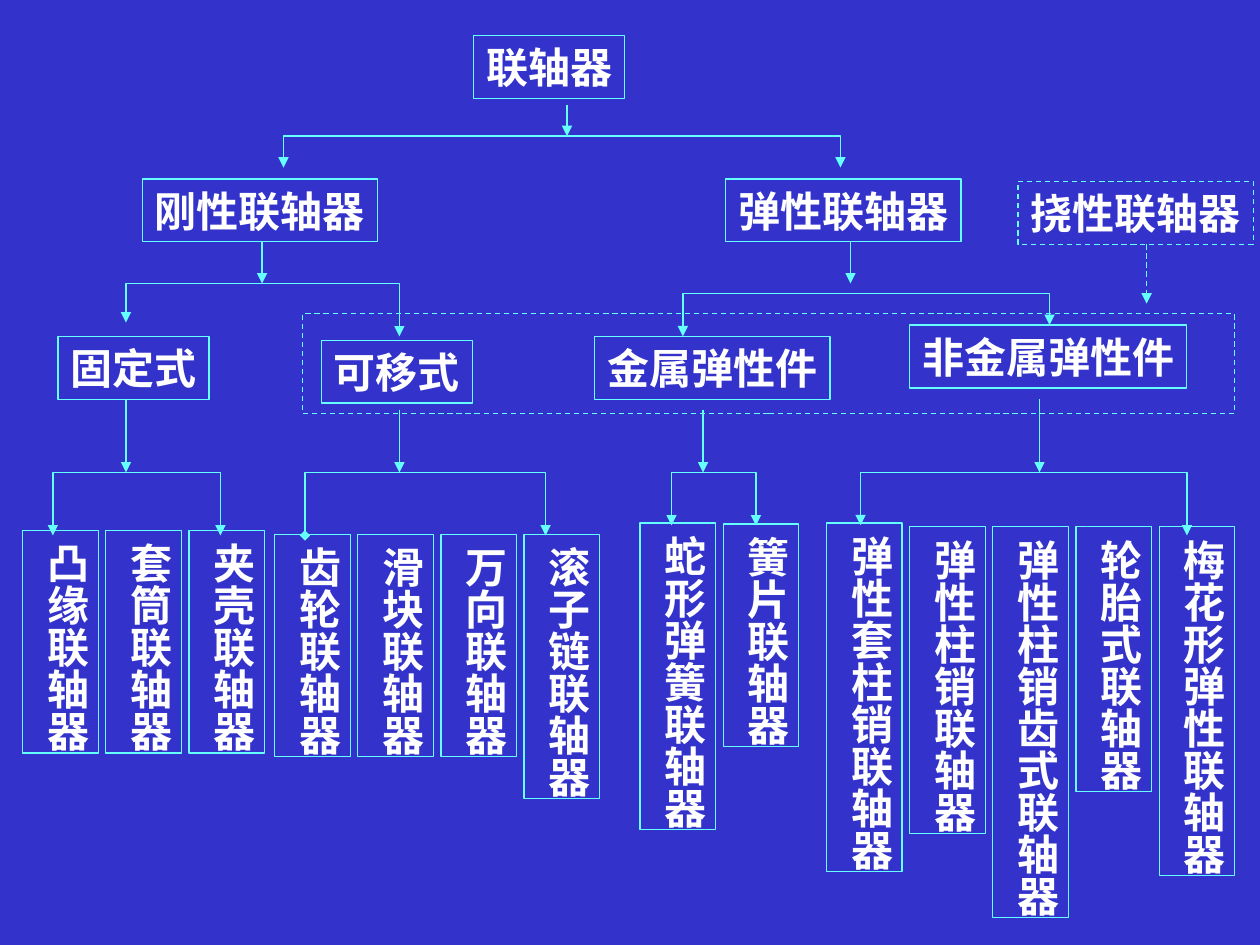
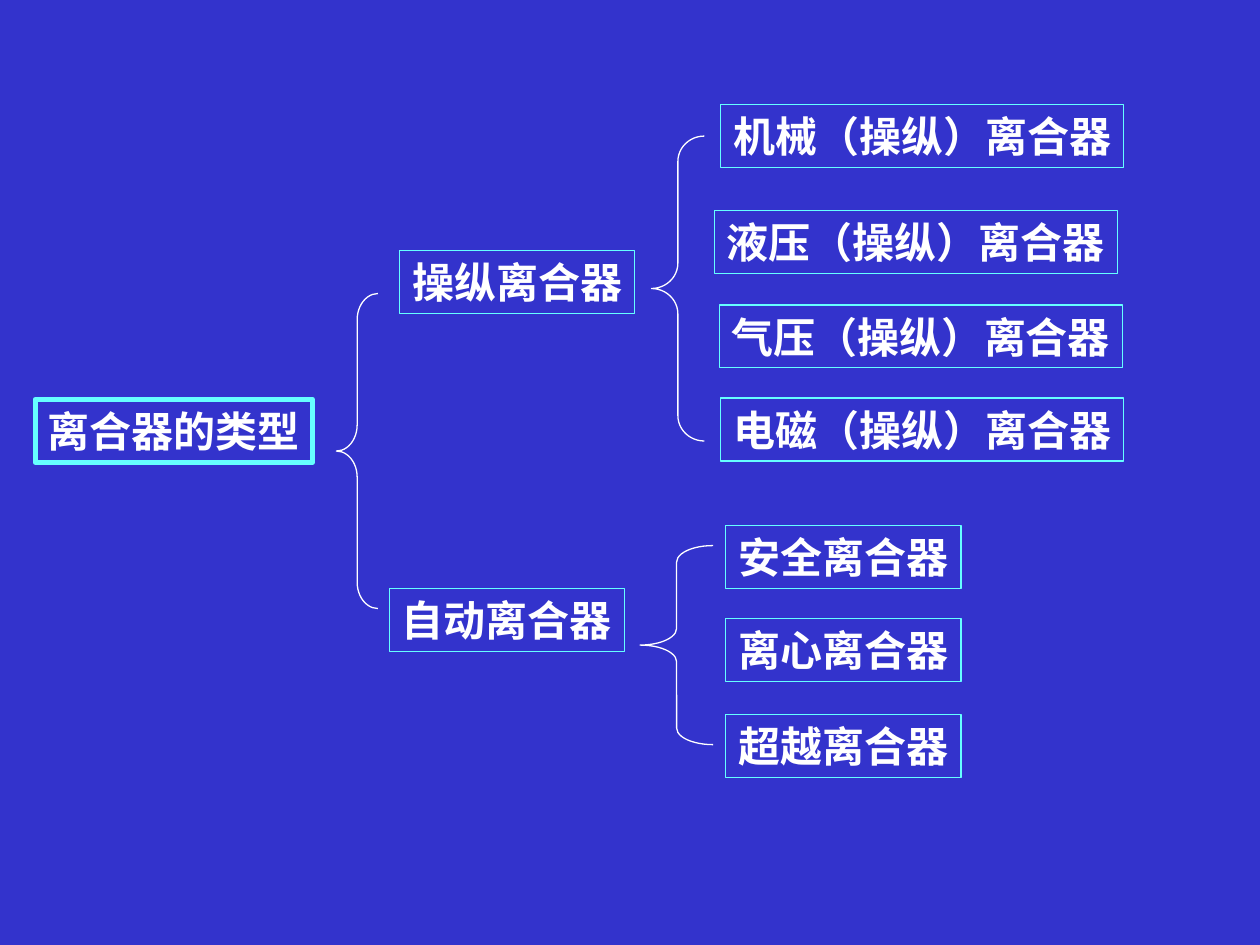
"""Builds two slides that classify shaft couplings and clutches as tree diagrams."""
import pptx
import pptx.dml.color
import pptx.enum.dml
import pptx.enum.shapes
import pptx.enum.text
import pptx.oxml.ns
import pptx.util
from lxml import etree

Inches = pptx.util.Inches
BACKGROUND, CYAN, WHITE = "3333CC", "66FFFF", "FFFFFF"
FONT_NAME, FONT_SIZE, CHARACTER = "Times New Roman", 24, 1 / 3
BOX_HEIGHT, COLUMN_WIDTH, COLUMN_PITCH = 0.5, 0.6, 0.66

COUPLING_BOXES = [
    ("联轴器", 3.76, 0.28),
    ("刚性联轴器", 1.13, 1.42),
    ("弹性联轴器", 5.76, 1.42),
    ("固定式", 0.46, 2.67),
    ("可移式", 2.55, 2.7),
    ("金属弹性件", 4.72, 2.67),
    ("非金属弹性件", 7.22, 2.58),
]
COUPLING_COLUMNS = [
    (0.18, [("凸缘联轴器", 4.21), ("套筒联轴器", 4.21), ("夹壳联轴器", 4.21)]),
    (2.18, [("齿轮联轴器", 4.24), ("滑块联轴器", 4.24), ("万向联轴器", 4.24),
            ("滚子链联轴器", 4.24)]),
    (5.08, [("蛇形弹簧联轴器", 4.15), ("簧片联轴器", 4.16)]),
    (6.56, [("弹性套柱销联轴器", 4.15), ("弹性柱销联轴器", 4.18),
            ("弹性柱销齿式联轴器", 4.18), ("轮胎式联轴器", 4.18),
            ("梅花形弹性联轴器", 4.18)]),
]
STEMS = [
    (4.5, 0.83, 1.08), (2.08, 1.92, 2.25), (6.75, 1.92, 2.25), (1, 3.17, 3.75),
    (3.17, 3.25, 3.75), (5.58, 3.25, 3.75), (8.25, 3.17, 3.75),
]
FORKS = [
    (1.08, (2.25, 1.33), (6.67, 1.33), "triangle"),
    (2.25, (1, 2.56), (3.17, 2.67), "triangle"),
    (2.33, (5.42, 2.67), (8.33, 2.58), "triangle"),
    (3.75, (0.42, 4.25), (1.75, 4.25), "triangle"),
    (3.75, (2.42, 4.25), (4.33, 4.25), "diamond"),
    (3.75, (5.33, 4.17), (6, 4.17), "triangle"),
    (3.75, (6.83, 4.17), (9.42, 4.25), "triangle"),
]
FLEXIBLE_BOX = ("挠性联轴器", 8.08, 1.44)
FLEXIBLE_STEM = (9.1, 1.94, 2.41)
FLEXIBLE_FRAME = (2.4, 2.49, 7.4, 0.79)

CLUTCH_ROOT = ("离合器的类型", 0.28, 3.17)
CLUTCH_BOXES = [
    ("操纵离合器", 3.17, 1.99),
    ("自动离合器", 3.09, 4.67),
    ("机械（操纵）离合器", 5.72, 0.83),
    ("液压（操纵）离合器", 5.67, 1.67),
    ("气压（操纵）离合器", 5.71, 2.42),
    ("电磁（操纵）离合器", 5.72, 3.16),
    ("安全离合器", 5.76, 4.17),
    ("离心离合器", 5.76, 4.91),
    ("超越离合器", 5.76, 5.67),
]
BRACES = [(2.67, 2.33, 0.33, 2.5), (5.17, 1.08, 0.42, 2.42), (5.08, 4.33, 0.58, 1.58)]


def rgb(value):
    return pptx.dml.color.RGBColor.from_string(value)


def style_line(line, color=CYAN, weight=0.75, dashed=False, head=None, tail=None):
    line.color.rgb = rgb(color)
    line.width = pptx.util.Pt(weight)
    if dashed:
        line.dash_style = pptx.enum.dml.MSO_LINE.DASH
    for tag, arrow in (("a:headEnd", head), ("a:tailEnd", tail)):
        if arrow:
            end = etree.SubElement(line._get_or_add_ln(), pptx.oxml.ns.qn(tag))
            end.set("type", arrow)


def add_outline(slide, kind, left, top, width, height, **line_format):
    shape = slide.shapes.add_shape(kind, *map(Inches, (left, top, width, height)))
    shape.shadow.inherit = False
    shape.fill.background()
    style_line(shape.line, **line_format)
    return shape


def add_rectangle(slide, *bounds, **line_format):
    return add_outline(slide, pptx.enum.shapes.MSO_SHAPE.RECTANGLE, *bounds, **line_format)


def write_text(shape, text, centered=False, vertical=False):
    frame = shape.text_frame
    frame.word_wrap = False
    frame.auto_size = pptx.enum.text.MSO_AUTO_SIZE.SHAPE_TO_FIT_TEXT
    frame.vertical_anchor = pptx.enum.text.MSO_ANCHOR.TOP
    side, end = (0.05, 0.1) if vertical else (0.1, 0.05)
    frame.margin_left = frame.margin_right = Inches(side)
    frame.margin_top = frame.margin_bottom = Inches(end)
    if vertical:
        frame._txBody.bodyPr.set("vert", "eaVert")
    paragraph = frame.paragraphs[0]
    alignments = pptx.enum.text.PP_ALIGN
    paragraph.alignment = alignments.CENTER if centered else alignments.LEFT
    run = paragraph.add_run()
    run.text = text
    run.font.name = FONT_NAME
    run.font.size = pptx.util.Pt(FONT_SIZE)
    run.font.bold = True
    run.font.color.rgb = rgb(WHITE)


def add_box(slide, text, left, top, centered=False, **line_format):
    width = 0.2 + len(text) * CHARACTER
    shape = add_rectangle(slide, left, top, width, BOX_HEIGHT, **line_format)
    write_text(shape, text, centered=centered)


def add_column(slide, text, left, top):
    height = 0.1 + len(text) * CHARACTER
    write_text(add_rectangle(slide, left, top, COLUMN_WIDTH, height), text, vertical=True)


def add_stem(slide, x, top, bottom, dashed=False):
    connector = slide.shapes.add_connector(
        pptx.enum.shapes.MSO_CONNECTOR.STRAIGHT, *map(Inches, (x, top, x, bottom)))
    style_line(connector.line, dashed=dashed, tail="triangle")
    etree.SubElement(connector._element.spPr, pptx.oxml.ns.qn("a:effectLst"))


def add_fork(slide, bar, start, finish, head):
    corners = [start, (start[0], bar), (finish[0], bar), finish]
    points = [(Inches(x), Inches(y)) for x, y in corners]
    builder = slide.shapes.build_freeform(*points[0], scale=1.0)
    builder.add_line_segments(points[1:], close=False)
    shape = builder.convert_to_shape()
    shape.shadow.inherit = False
    shape.fill.background()
    style_line(shape.line, head=head, tail="triangle")


def add_brace(slide, left, top, width, height):
    kind = pptx.enum.shapes.MSO_SHAPE.LEFT_BRACE
    shape = add_outline(slide, kind, left, top, width, height, color=WHITE)
    shape.adjustments[0] = height / 12 / width


def add_slide(presentation):
    slide = presentation.slides.add_slide(presentation.slide_layouts[6])
    slide.background.fill.solid()
    slide.background.fill.fore_color.rgb = rgb(BACKGROUND)
    return slide


def build_couplings(slide):
    for box in COUPLING_BOXES:
        add_box(slide, *box)
    for left, columns in COUPLING_COLUMNS:
        for index, (text, top) in enumerate(columns):
            add_column(slide, text, left + index * COLUMN_PITCH, top)
    for fork in FORKS:
        add_fork(slide, *fork)
    for stem in STEMS:
        add_stem(slide, *stem)
    add_rectangle(slide, *FLEXIBLE_FRAME, dashed=True)
    add_box(slide, *FLEXIBLE_BOX, centered=True, dashed=True)
    add_stem(slide, *FLEXIBLE_STEM, dashed=True)


def build_clutches(slide):
    add_box(slide, *CLUTCH_ROOT, centered=True, weight=3)
    for box in CLUTCH_BOXES:
        add_box(slide, *box, centered=True)
    for brace in BRACES:
        add_brace(slide, *brace)


def main():
    presentation = pptx.Presentation()
    presentation.slide_width = Inches(10)
    presentation.slide_height = Inches(7.5)
    build_couplings(add_slide(presentation))
    build_clutches(add_slide(presentation))
    presentation.save("out.pptx")


if __name__ == "__main__":
    main()
